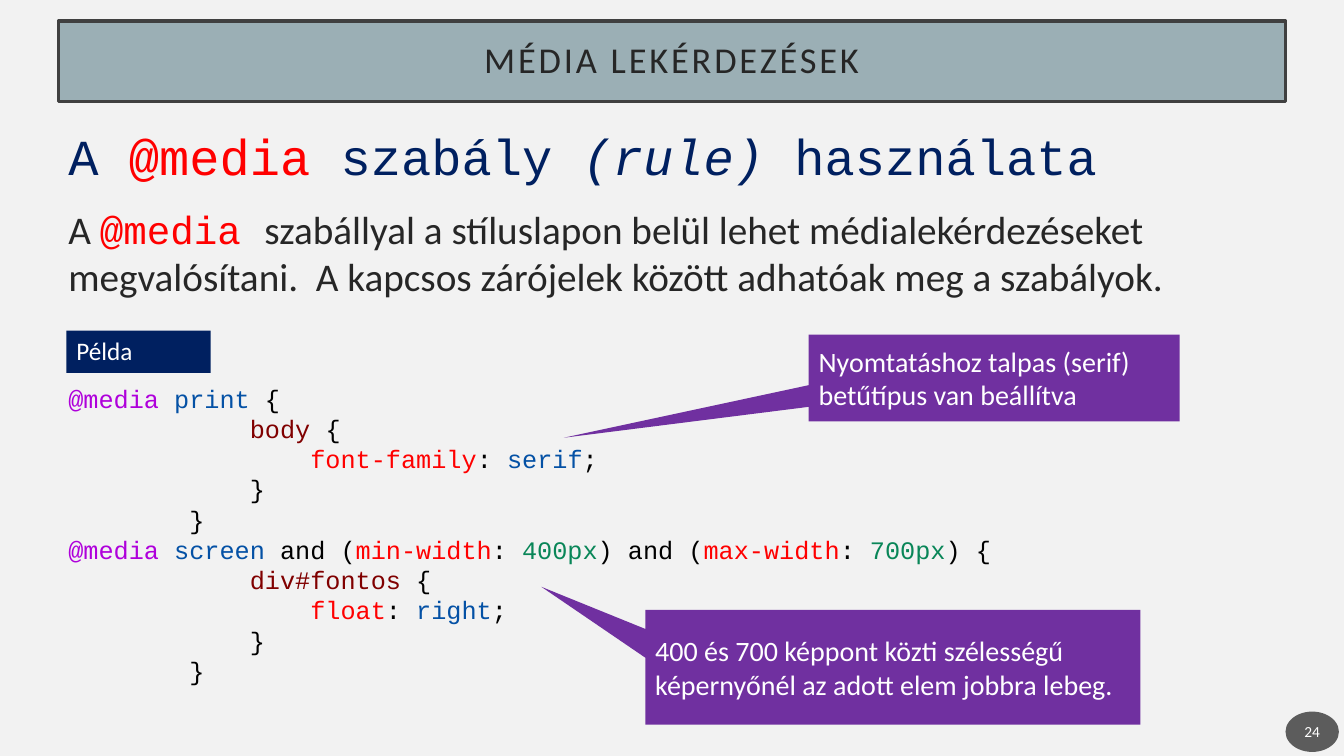
from dataclasses import dataclass

import pptx
import pptx.dml.color
import pptx.enum.shapes
import pptx.enum.text
import pptx.oxml.ns
import pptx.util
from lxml import etree

Inches = pptx.util.Inches
Pt = pptx.util.Pt
Shapes = pptx.enum.shapes.MSO_SHAPE
Align = pptx.enum.text.PP_ALIGN
Anchor = pptx.enum.text.MSO_ANCHOR

SANS, MONO = "Calibri", "Courier New"
INK, NAVY, RED, WHITE, BLACK = "262626", "002060", "FF0000", "FFFFFF", "000000"
KEYWORD, VALUE, SELECTOR, NUMBER, PURPLE = "AF00DB", "0451A5", "800000", "098658", "7030A0"


@dataclass(frozen=True)
class Area:
    left: float
    top: float
    width: float
    height: float

    def lengths(self) -> list[int]:
        return [Inches(side) for side in (self.left, self.top, self.width, self.height)]


@dataclass(frozen=True)
class Span:
    text: str
    color: str
    font: str | None = None
    italic: bool = False


@dataclass(frozen=True)
class Panel:
    """A filled shape holding one line of text."""
    text: str
    area: Area
    fill: str
    size: float
    kind: int = Shapes.RECTANGLE
    color: str = WHITE
    align: int = Align.LEFT
    anchor: int = Anchor.MIDDLE
    tip: tuple[float, float] | None = None


@dataclass(frozen=True)
class Passage:
    """A text box whose lines are made of coloured spans."""
    area: Area
    font: str
    size: float
    lines: list[list[Span]]


def media_rule(query: list[Span], selector: str, name: str, value: str) -> list[list[Span]]:
    """Lay out one @media block as indented code lines."""
    return [
        [Span("@media ", KEYWORD), *query, Span(" {", BLACK)],
        [Span(" " * 12 + selector, SELECTOR), Span(" {", BLACK)],
        [Span(" " * 16 + name, RED), Span(": ", BLACK), Span(value, VALUE), Span(";", BLACK)],
        [Span(" " * 12 + "}", BLACK)],
        [Span(" " * 8 + "}", BLACK)],
    ]


def width_test(name: str, value: str) -> list[Span]:
    return [Span(" and (", BLACK), Span(name, RED), Span(": ", BLACK),
            Span(value, NUMBER), Span(")", BLACK)]


TITLE = Panel("MÉDIA LEKÉRDEZÉSEK", Area(0.58, 0.21, 12.17, 0.8), "9BAFB5", 26,
              color=INK, align=Align.CENTER)
PAGE_NUMBER = Panel("24", Area(12.75, 7.06, 0.53, 0.4), "1D1D1D", 11,
                    kind=Shapes.OVAL, align=Align.CENTER)
PANELS = [
    Panel("Példa", Area(0.66, 3.28, 1.43, 0.42), NAVY, 18, anchor=Anchor.TOP),
    Panel("Nyomtatáshoz talpas (serif) betűtípus van beállítva",
          Area(8.02, 3.32, 3.68, 0.86), PURPLE, 20,
          kind=Shapes.RECTANGULAR_CALLOUT, tip=(-1.16, 0.69)),
    Panel("400 és 700 képpont közti szélességű képernyőnél az adott elem jobbra lebeg.",
          Area(6.4, 6.05, 4.91, 1.14), PURPLE, 20,
          kind=Shapes.RECTANGULAR_CALLOUT, tip=(-0.71, -0.7)),
]
PASSAGES = [
    Passage(Area(0.58, 1.99, 11.64, 2.07), SANS, 28, [[
        Span("A ", INK),
        Span("@media ", RED, MONO),
        Span("szabállyal a stíluslapon belül lehet médialekérdezéseket megvalósítani.  "
             "A kapcsos zárójelek között adhatóak meg a szabályok.", INK),
    ]]),
    Passage(Area(0.58, 1.19, 11.13, 0.7), MONO, 36, [[
        Span("A ", NAVY), Span("@media ", RED), Span("szabály ", NAVY),
        Span("(rule)", NAVY, italic=True), Span(" használata", NAVY),
    ]]),
    Passage(Area(0.58, 3.75, 11, 3.43), MONO, 18, [
        *media_rule([Span("print", VALUE)], "body", "font-family", "serif"),
        *media_rule([Span("screen", VALUE), *width_test("min-width", "400px"),
                     *width_test("max-width", "700px")], "div#fontos", "float", "right"),
    ]),
]


def rgb(color: str) -> pptx.dml.color.RGBColor:
    return pptx.dml.color.RGBColor.from_string(color)


def set_insets(frame, across: float, down: float) -> None:
    frame.margin_left = frame.margin_right = Inches(across)
    frame.margin_top = frame.margin_bottom = Inches(down)


def draw_panel(page, panel: Panel):
    box = page.shapes.add_shape(panel.kind, *panel.area.lengths())
    box.shadow.inherit = False
    box.fill.solid()
    box.fill.fore_color.rgb = rgb(panel.fill)
    box.line.fill.background()
    if panel.tip:
        box.adjustments[0], box.adjustments[1] = panel.tip
    frame = box.text_frame
    frame.word_wrap = True
    frame.vertical_anchor = panel.anchor
    para = frame.paragraphs[0]
    para.alignment = panel.align
    para.add_run().text = panel.text
    para.font.name = SANS
    para.font.size = Pt(panel.size)
    para.font.color.rgb = rgb(panel.color)
    return box


def draw_title(page) -> None:
    box = draw_panel(page, TITLE)
    box.line.color.rgb = rgb("404040")
    box.line.width = Pt(2.5)
    set_insets(box.text_frame, 0.2, 0.2)
    para = box.text_frame.paragraphs[0]
    para.line_spacing = 0.9
    para.runs[0]._r.get_or_add_rPr().set("spc", "200")


def draw_page_number(page) -> None:
    box = draw_panel(page, PAGE_NUMBER)
    set_insets(box.text_frame, 0.02, 0.05)
    tint = box._element.spPr.find(".//" + pptx.oxml.ns.qn("a:srgbClr"))
    etree.SubElement(tint, pptx.oxml.ns.qn("a:alpha"), val="70000")


def draw_passage(page, passage: Passage) -> None:
    frame = page.shapes.add_textbox(*passage.area.lengths()).text_frame
    frame.word_wrap = True
    for index, line in enumerate(passage.lines):
        para = frame.add_paragraph() if index else frame.paragraphs[0]
        para.font.name = passage.font
        para.font.size = Pt(passage.size)
        for span in line:
            run = para.add_run()
            run.text = span.text
            run.font.color.rgb = rgb(span.color)
            if span.font:
                run.font.name = span.font
            if span.italic:
                run.font.italic = True


def main() -> None:
    deck = pptx.Presentation()
    deck.slide_width, deck.slide_height = Inches(13.33), Inches(7.5)
    page = deck.slides.add_slide(deck.slide_layouts[6])
    page.background.fill.solid()
    page.background.fill.fore_color.rgb = rgb("F2F2F2")
    draw_title(page)
    draw_page_number(page)
    for passage in PASSAGES:
        draw_passage(page, passage)
    for panel in PANELS:
        draw_panel(page, panel)
    deck.save("out.pptx")


if __name__ == "__main__":
    main()
